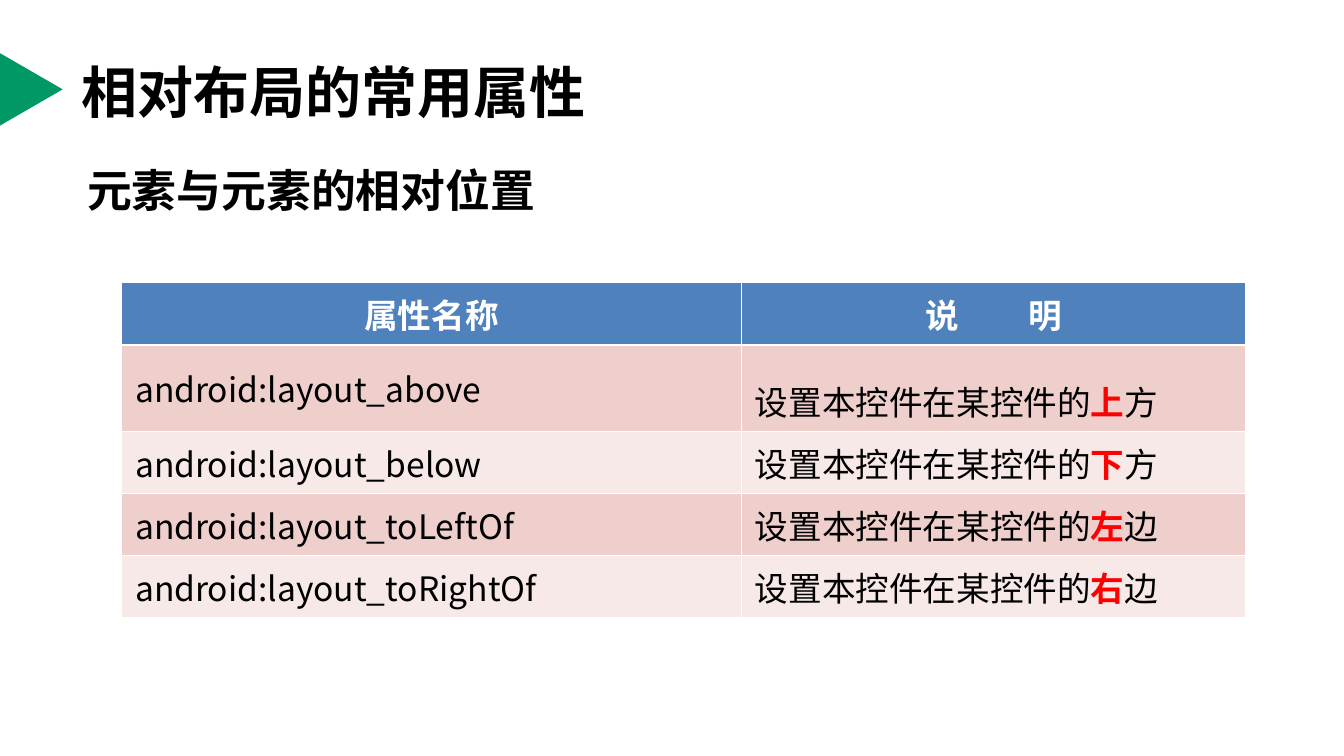
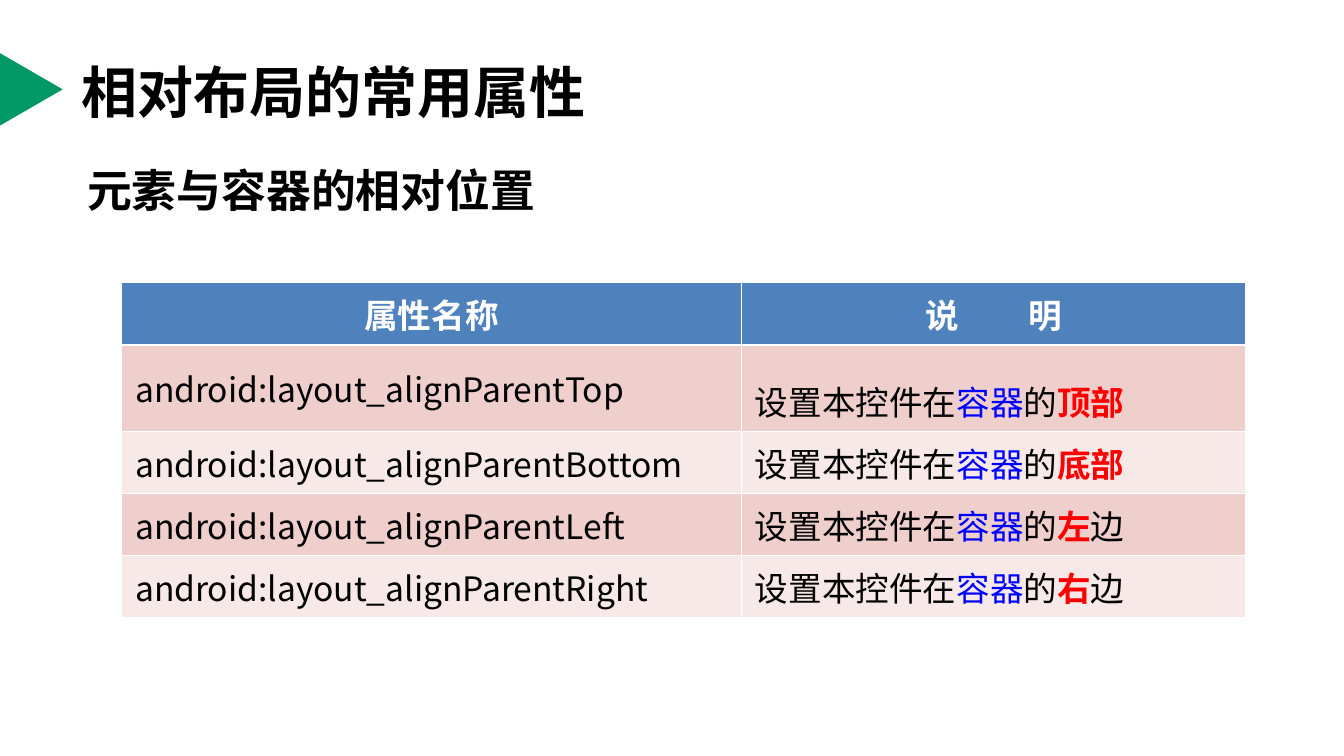
from lxml.etree import SubElement
from pptx import Presentation
from pptx.dml.color import RGBColor
from pptx.enum.shapes import MSO_SHAPE
from pptx.enum.text import MSO_ANCHOR, PP_ALIGN
from pptx.oxml.ns import qn
from pptx.util import Pt

# Shared style
BLACK = RGBColor(0x00, 0x00, 0x00)
WHITE = RGBColor(0xFF, 0xFF, 0xFF)
RED = RGBColor(0xFF, 0x00, 0x00)
BLUE = RGBColor(0x00, 0x00, 0xFF)
GREEN = RGBColor(0x00, 0x99, 0x66)
HEADER_FILL = RGBColor(0x4F, 0x81, 0xBD)
BAND_FILLS = (RGBColor(0xEF, 0xCF, 0xCC), RGBColor(0xF7, 0xE9, 0xE7))
FONT = "Noto Sans CJK SC"
HEADER_FONT = "Arial"

# Table geometry in points
COLUMN_WIDTHS = (332, 270)
ROW_HEIGHTS = (33.2, 46.6, 33.2, 33.2, 33.2)
THIN_LINE, HEADER_LINE = 0.45, 1.47

# Content: each row is an attribute and the (text, format) pieces that explain it
TITLE = "相对布局的常用属性"
KEYWORD = {"color": RED, "bold": True}
CONTAINER = [("设置本控件在", {}), ("容器", {"color": BLUE}), ("的", {})]
SIBLING = [("设置本控件在某控件的", {})]
SLIDES = [
    ("元素与元素的相对位置", [
        ("android:layout_above", SIBLING + [("上", KEYWORD), ("方", {})]),
        ("android:layout_below", SIBLING + [("下", KEYWORD), ("方", {})]),
        ("android:layout_toLeftOf", SIBLING + [("左", KEYWORD), ("边", {})]),
        ("android:layout_toRightOf", SIBLING + [("右", KEYWORD), ("边", {})]),
    ]),
    ("元素与容器的相对位置", [
        ("android:layout_alignParentTop", CONTAINER + [("顶部", KEYWORD)]),
        ("android:layout_alignParentBottom", CONTAINER + [("底部", KEYWORD)]),
        ("android:layout_alignParentLeft", CONTAINER + [("左", KEYWORD), ("边", {})]),
        ("android:layout_alignParentRight", CONTAINER + [("右", KEYWORD), ("边", {})]),
    ]),
]


def write(paragraph, text, size=18, color=BLACK, bold=False, font=FONT, spacing=0):
    """Append formatted text; spacing is the extra width after each letter."""
    run = paragraph.add_run()
    run.text = text
    run.font.size = Pt(size)
    run.font.bold = bold
    run.font.color.rgb = color
    run.font.name = font
    properties = run._r.get_or_add_rPr()
    SubElement(properties, qn("a:ea")).set("typeface", FONT)
    if spacing:
        properties.set("spc", str(spacing * 100))


def place(shape, left, top, width, height):
    shape.left, shape.top = Pt(left), Pt(top)
    shape.width, shape.height = Pt(width), Pt(height)


def add_marker(slide):
    marker = slide.shapes.add_shape(
        MSO_SHAPE.ISOSCELES_TRIANGLE, Pt(-2.8), Pt(31), Pt(39), Pt(33.8))
    marker.rotation = 90
    marker.shadow.inherit = False
    marker.fill.solid()
    marker.fill.fore_color.rgb = GREEN
    marker.line.fill.background()


def add_title(slide, text):
    title = slide.shapes.title
    place(title, 36.7, 15.1, 648, 67.7)
    title.text_frame.vertical_anchor = MSO_ANCHOR.MIDDLE
    paragraph = title.text_frame.paragraphs[0]
    paragraph.alignment = PP_ALIGN.LEFT
    write(paragraph, text, size=30, bold=True)


def add_subtitle(slide, text):
    box = slide.shapes.add_textbox(Pt(39.6), Pt(83.5), Pt(298), Pt(51))
    box.text_frame.word_wrap = True
    paragraph = box.text_frame.paragraphs[0]
    paragraph.space_before = Pt(6.5)
    write(paragraph, text, size=24, bold=True)


def set_borders(cell, top, bottom):
    """Draw white borders; the properties must precede the cell's fill."""
    properties = cell._tc.get_or_add_tcPr()
    widths = {"a:lnL": THIN_LINE, "a:lnR": THIN_LINE, "a:lnT": top, "a:lnB": bottom}
    for position, (tag, width) in enumerate(widths.items()):
        line = SubElement(properties, qn(tag), w=str(Pt(width)))
        fill = SubElement(line, qn("a:solidFill"))
        SubElement(fill, qn("a:srgbClr"), val=str(WHITE))
        properties.insert(position, line)


def format_cell(cell, row):
    cell.fill.solid()
    cell.fill.fore_color.rgb = BAND_FILLS[(row - 1) % 2] if row else HEADER_FILL
    cell.vertical_anchor = MSO_ANCHOR.MIDDLE if row else MSO_ANCHOR.TOP
    set_borders(cell, top=HEADER_LINE if row == 1 else THIN_LINE,
                bottom=THIN_LINE if row else HEADER_LINE)


def fill_header(table):
    header = {"color": WHITE, "bold": True, "font": HEADER_FONT}
    pieces = ([("属性名称", 0)], [("说", 0), (" ", 33), ("明", 0)])
    for column, texts in enumerate(pieces):
        paragraph = table.cell(0, column).text_frame.paragraphs[0]
        paragraph.alignment = PP_ALIGN.CENTER
        paragraph.space_before = Pt(4.5)
        for text, spacing in texts:
            write(paragraph, text, spacing=spacing, **header)


def add_attribute_table(slide, attributes):
    table = slide.shapes.add_table(
        len(ROW_HEIGHTS), len(COLUMN_WIDTHS), Pt(65.2), Pt(151.5),
        Pt(sum(COLUMN_WIDTHS)), Pt(sum(ROW_HEIGHTS))).table
    for column, width in zip(table.columns, COLUMN_WIDTHS):
        column.width = Pt(width)
    for row, height in enumerate(ROW_HEIGHTS):
        table.rows[row].height = Pt(height)
        for cell in table.rows[row].cells:
            format_cell(cell, row)

    fill_header(table)
    for row, (name, description) in enumerate(attributes, start=1):
        paragraph = table.cell(row, 0).text_frame.paragraphs[0]
        paragraph.space_before = Pt(4.5)
        write(paragraph, name)
        paragraph = table.cell(row, 1).text_frame.paragraphs[0]
        paragraph.alignment = PP_ALIGN.JUSTIFY
        if row == 1:
            paragraph.line_spacing = 1.5
        for text, style in description:
            write(paragraph, text, **style)


def main():
    presentation = Presentation()
    presentation.slide_width, presentation.slide_height = Pt(720), Pt(405)
    title_only = presentation.slide_layouts[5]
    for subtitle, attributes in SLIDES:
        slide = presentation.slides.add_slide(title_only)
        add_marker(slide)
        add_title(slide, TITLE)
        add_subtitle(slide, subtitle)
        add_attribute_table(slide, attributes)
    presentation.save("out.pptx")


if __name__ == "__main__":
    main()
